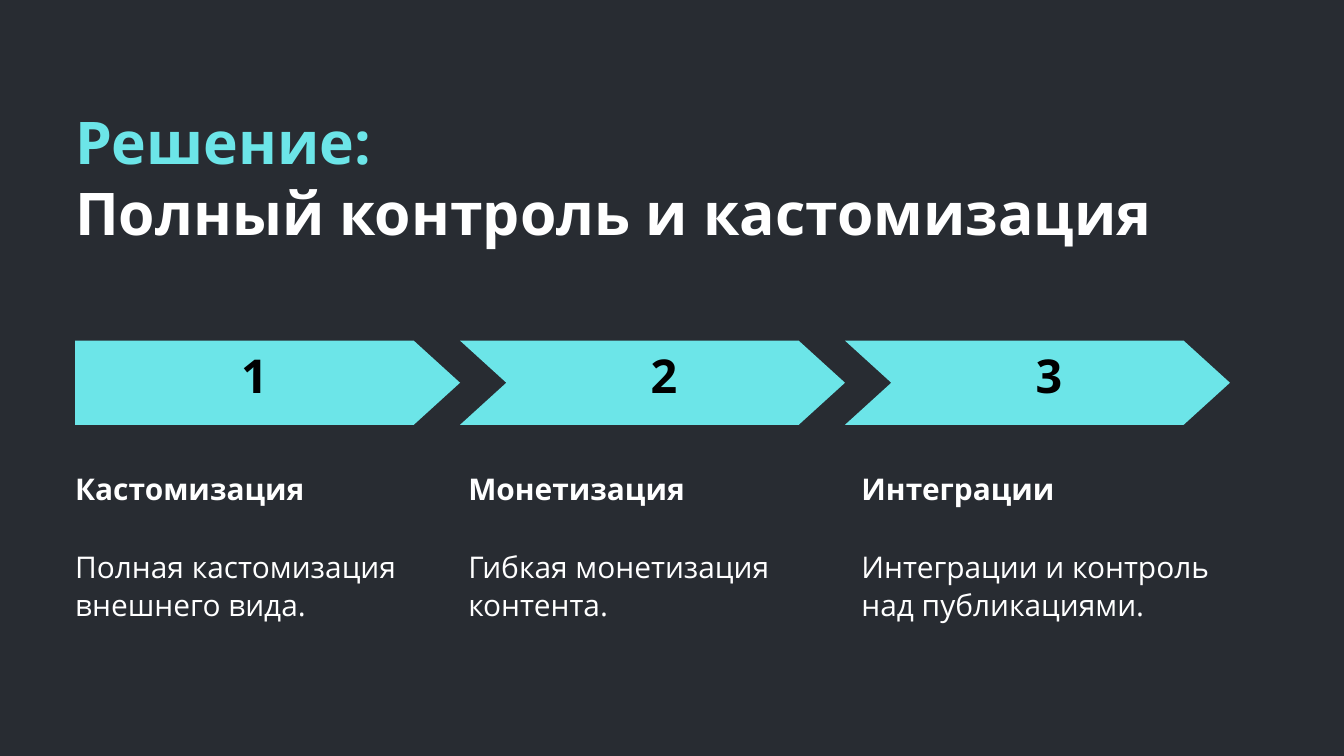
"""Build the solution slide: a title, three numbered arrows and three columns."""
from pptx import Presentation
from pptx.dml.color import RGBColor
from pptx.enum.shapes import MSO_SHAPE as Shape
from pptx.enum.text import MSO_ANCHOR as Anchor, PP_ALIGN as Align
from pptx.util import Cm, Pt

AQUA, WHITE, BLACK, DARK = "6CE5E8", "FFFFFF", "000000", "282C32"


def color(code):
    return RGBColor.from_string(code)


def add_text(left, top, width, height, lines, size, spacing, inset=0):
    box = slide.shapes.add_textbox(Cm(left), Cm(top), Cm(width), Cm(height))
    frame = box.text_frame
    frame.word_wrap = True
    frame.margin_left = frame.margin_right = Cm(inset)
    frame.margin_top = frame.margin_bottom = Cm(inset)
    frame.text = "\n".join(text for text, _, _ in lines)
    for paragraph, (_, code, bold) in zip(frame.paragraphs, lines):
        paragraph.line_spacing = Pt(spacing)
        font = paragraph.runs[0].font
        font.name, font.size, font.bold = "Open Sans", Pt(size), bold
        font.color.rgb = color(code)
    return frame


deck = Presentation()
deck.slide_width, deck.slide_height = Cm(50.8), Cm(28.58)
slide = deck.slides.add_slide(deck.slide_layouts[6])
slide.background.fill.solid()
slide.background.fill.fore_color.rgb = color(DARK)

margin = 2.84
arrow_width, arrow_height = 14.55, 3.18
column_step = 14.86

title = [("Решение:", AQUA, True), ("Полный контроль и кастомизация", WHITE, True)]
add_text(margin, 4.01, 45.9, 5.28, title, 63, 75.6)

steps = [
    ("Кастомизация", "Полная кастомизация внешнего вида."),
    ("Монетизация", "Гибкая монетизация контента."),
    ("Интеграции", "Интеграции и контроль над публикациями."),
]
for index, (heading, detail) in enumerate(steps):
    arrow_left = margin + index * arrow_width
    arrow = slide.shapes.add_shape(
        Shape.CHEVRON if index else Shape.PENTAGON,
        Cm(arrow_left), Cm(12.88), Cm(arrow_width), Cm(arrow_height))
    arrow.adjustments[0] = 0.55
    arrow.shadow.inherit = False
    arrow.fill.solid()
    arrow.fill.fore_color.rgb = color(AQUA)
    arrow.line.fill.background()

    number_left, number_width = (arrow_left + 1.52, 12.37) if index else (arrow_left, 13.56)
    number = add_text(number_left, 11.96, number_width, 4.09,
                      [(str(index + 1), BLACK, True)], 50, 70, inset=0.15)
    number.vertical_anchor = Anchor.MIDDLE
    number.paragraphs[0].alignment = Align.CENTER

    column = add_text(margin + index * column_step, 17.68, 13.97, 8.66 if index else 7.21,
                      [(heading, WHITE, True), (detail, WHITE, False)], 32, 41.6)
    column.paragraphs[1].space_before = Pt(41.6)

deck.save("out.pptx")
